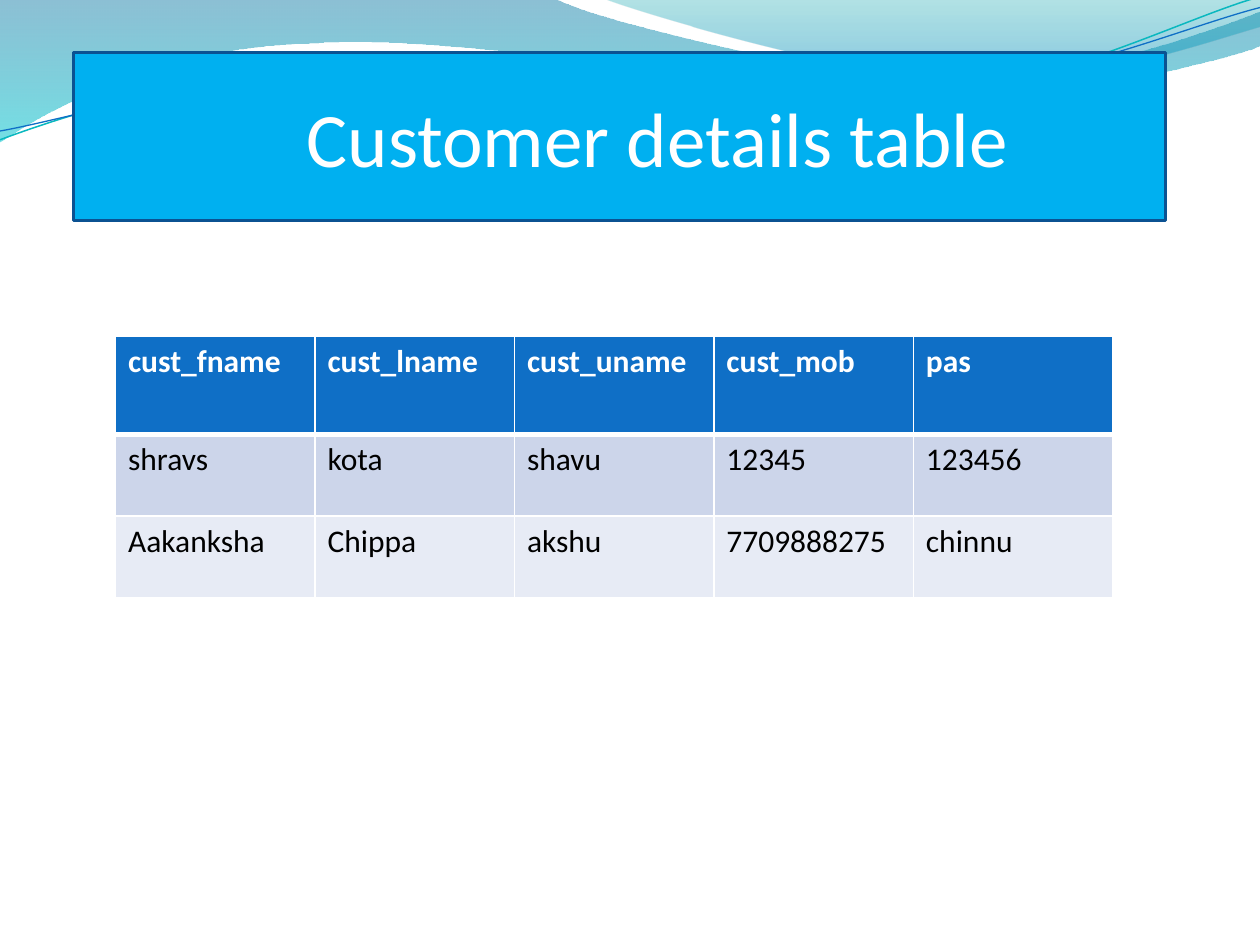
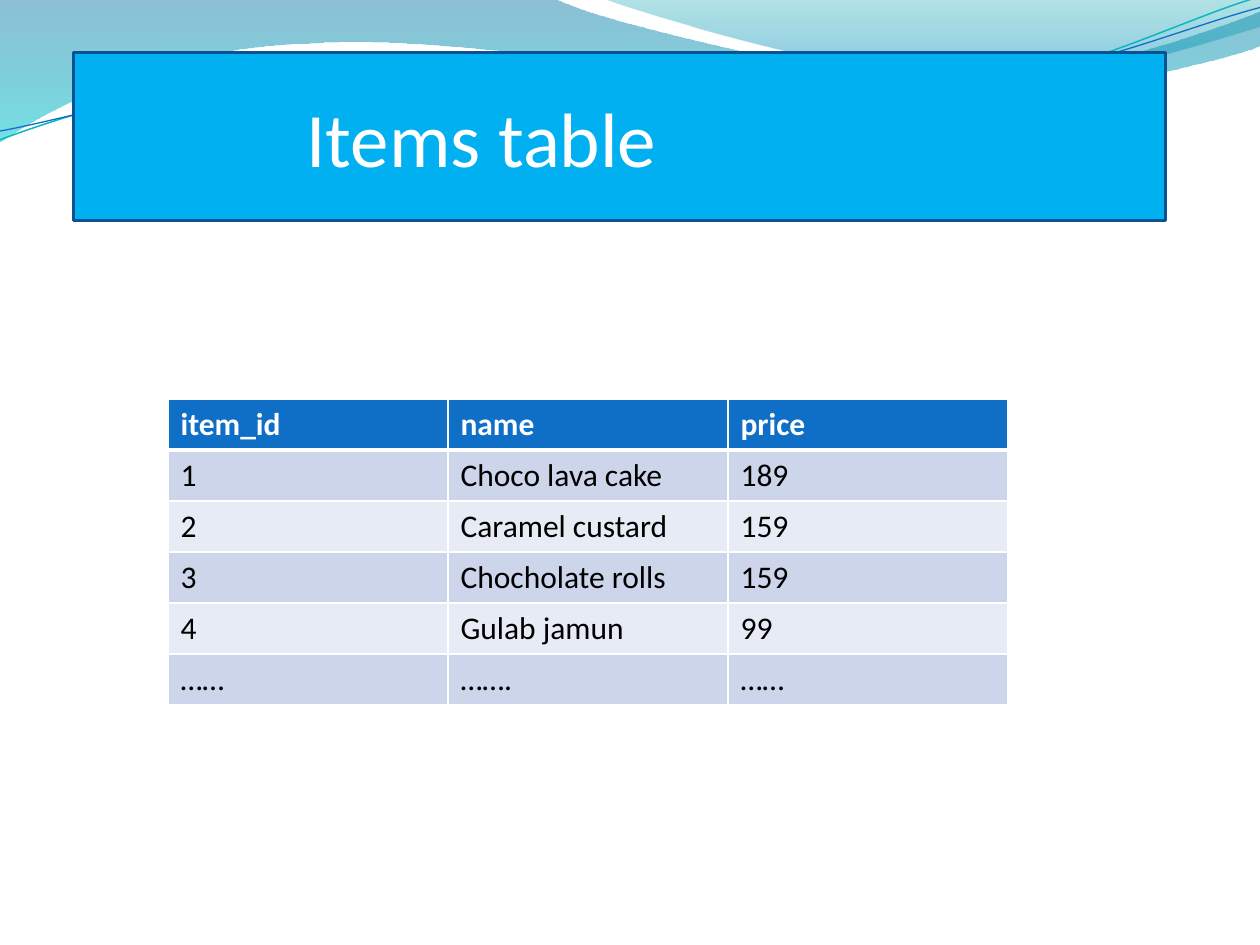
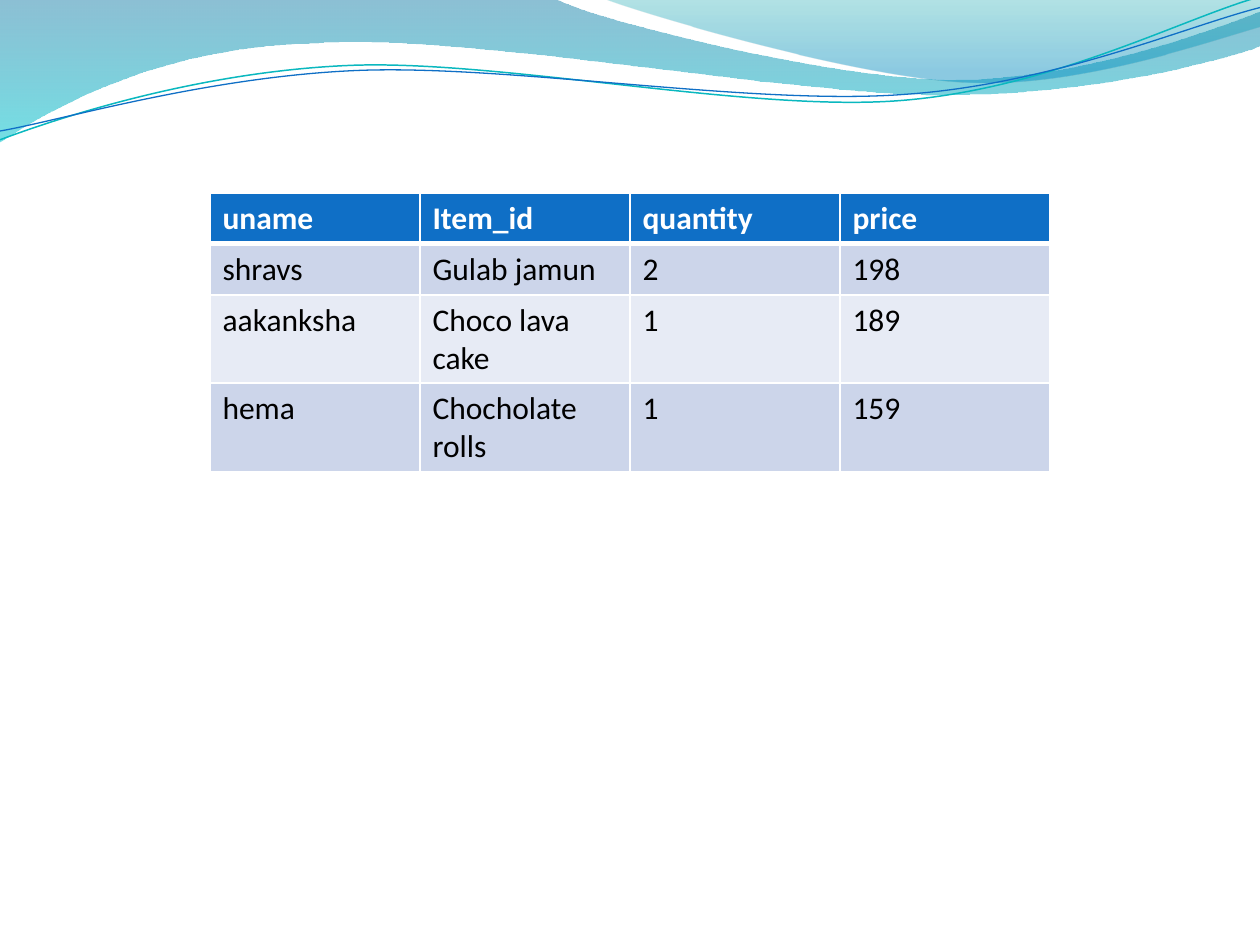
from dataclasses import dataclass

from lxml import etree
from pptx import Presentation
from pptx.dml.color import RGBColor
from pptx.enum import shapes, text
from pptx.oxml import ns
from pptx.util import Inches, Pt

# Content: title (or None), table position, width, row heights, rows
SLIDES = [
    dict(title="Customer details table", at=(11 / 12, 8 / 3), width=95 / 12,
         heights=[0.78, 0.65, 0.65],
         rows=[("cust_fname", "cust_lname", "cust_uname", "cust_mob", "pas"),
               ("shravs", "kota", "shavu", "12345", "123456"),
               ("Aakanksha", "Chippa", "akshu", "7709888275", "chinnu")]),
    dict(title="Items table", at=(4 / 3, 19 / 6), width=20 / 3,
         heights=[2.43 / 6] * 6,
         rows=[("item_id", "name", "price"),
               ("1", "Choco lava cake", "189"),
               ("2", "Caramel custard", "159"),
               ("3", "Chocholate rolls", "159"),
               ("4", "Gulab jamun", "99"),
               ("……", "…….", "……")]),
    dict(title=None, at=(5 / 3, 1.53), width=20 / 3,
         heights=[2.43 / 6] * 4,
         rows=[("uname", "Item_id", "quantity", "price"),
               ("shravs", "Gulab jamun", "2", "198"),
               ("aakanksha", "Choco lava cake", "1", "189"),
               ("hema", "Chocholate rolls", "1", "159")]),
]

# Wave outlines: a pair is a corner, six numbers are a Bezier curve
# Gradient stops: position, colour, opacity in percent
WAVES = [
    dict(outline=[(0, 0), (4.4, -0.01), (4.76, 0.17, 6.64, 0.63, 7.58, 0.63),
                  (8.53, 0.63, 9.58, 0.26, 10, 0.09), (10.01, 0.36),
                  (9.83, 0.44, 8.7, 0.76, 7.46, 0.75),
                  (6.22, 0.75, 3.82, 0.28, 2.57, 0.34),
                  (1.29, 0.36, 0.46, 0.83, -0.01, 1.13), (0, 0)],
         stops=[(0, "0074A1", 45), (1, "00C6CF", 55)]),
    dict(outline=[(4.79, -0.01), (5.09, 0.11, 6.82, 0.62, 7.69, 0.65),
                  (8.56, 0.69, 9.61, 0.32, 10, 0.21), (10, 0), (4.79, -0.01)],
         stops=[(0, "00A1A9", 30), (0.8, "008BBF", 45)]),
    dict(outline=[(0, 1.11), (0.48, 0.93, 1.58, 0.57, 2.77, 0.52),
                  (3.95, 0.47, 5.93, 0.89, 7.13, 0.8),
                  (8.33, 0.71, 9.38, 0.15, 9.98, -0.02)],
         line=("0AB8BF", 0.85)),
    dict(outline=[(0, 1.04), (0.47, 0.96, 1.64, 0.61, 2.83, 0.56),
                  (4.03, 0.51, 5.97, 0.84, 7.17, 0.75),
                  (8.36, 0.67, 9.41, 0.21, 10, 0.06)],
         line=("0F6FC6", 0.75)),
]


@dataclass(frozen=True)
class Theme:
    font: str = "Calibri"
    title_size: int = 44
    cell_size: int = 18
    white: str = "FFFFFF"
    black: str = "000000"
    band: str = "00B0F0"
    band_line: str = "0B5292"
    header: str = "0F6FC6"
    stripes: tuple = ("CCD5EA", "E7EBF5")


THEME = Theme()
HEADER_BORDERS = {"lnL": 1, "lnR": 1, "lnT": 1, "lnB": 3}
TITLE_ONLY, BLANK = 5, 6


def rgb(value):
    return RGBColor.from_string(value)


def box(*lengths):
    return [Inches(v) for v in lengths]


def style_text(p, size, color, bold=False):
    for r in p.runs:
        r.font.name, r.font.size, r.font.bold = THEME.font, Pt(size), bold
        r.font.color.rgb = rgb(color)


# Waves on the master
def build_wave(s, outline, closed):
    points = [tuple(box(*part[i:i + 2]))
              for part in outline for i in range(0, len(part), 2)]
    builder = s.shapes.build_freeform(*points[0])
    builder.add_line_segments(points[1:], close=closed)
    sp = builder.convert_to_shape()

    # Join the three lines through each curve's points into one curve
    lines = iter(list(sp.element.iter(ns.qn("a:lnTo"))))
    for part in outline[1:]:
        line = next(lines)
        if len(part) == 6:
            curve = etree.Element(ns.qn("a:cubicBezTo"))
            line.addprevious(curve)
            for step in (line, next(lines), next(lines)):
                curve.append(step[0])
                step.getparent().remove(step)
    return sp


def fill_gradient(sp, stops):
    sp.fill.gradient()
    sp.fill.gradient_angle = 270
    for stop, (position, color, _) in zip(sp.fill.gradient_stops, stops):
        stop.position, stop.color.rgb = position, rgb(color)
    for clr, (_, _, opacity) in zip(sp.element.iter(ns.qn("a:srgbClr")), stops):
        etree.SubElement(clr, ns.qn("a:alpha")).set("val", str(opacity * 1000))


def add_waves(prs, s):
    tree = prs.slide_master.shapes.element
    for i, wave in enumerate(WAVES):
        sp = build_wave(s, wave["outline"], closed="stops" in wave)
        sp.shadow.inherit = False
        if "stops" in wave:
            fill_gradient(sp, wave["stops"])
            sp.line.fill.background()
        else:
            color, width = wave["line"]
            sp.fill.background()
            sp.line.color.rgb, sp.line.width = rgb(color), Pt(width)
        # Move behind the master's placeholders, with an id free there
        sp.element.nvSpPr.cNvPr.set("id", str(101 + i))
        tree.insert(2 + i, sp.element)


# Title on its band
def add_title(s, title):
    band = s.shapes.add_shape(shapes.MSO_SHAPE.RECTANGLE,
                              *box(7 / 12, 5 / 12, 26 / 3, 4 / 3))
    band.shadow.inherit = False
    band.fill.solid()
    band.fill.fore_color.rgb = rgb(THEME.band)
    band.line.color.rgb, band.line.width = rgb(THEME.band_line), Pt(2)
    s.shapes.element.insert(2, band.element)

    sp = s.shapes.title
    sp.left, sp.top, sp.width, sp.height = box(7 / 3, 2 / 3, 6.75, 0.84)
    tf = sp.text_frame
    tf.text = title
    tf.auto_size = text.MSO_AUTO_SIZE.SHAPE_TO_FIT_TEXT
    tf.vertical_anchor = text.MSO_ANCHOR.TOP
    p = tf.paragraphs[0]
    p.alignment = text.PP_ALIGN.LEFT
    style_text(p, THEME.title_size, THEME.white)


# Striped table with a heavier rule under the header
def add_borders(cell):
    tc_pr = cell._tc.get_or_add_tcPr()
    for i, (side, width) in enumerate(HEADER_BORDERS.items()):
        ln = etree.Element(ns.qn(f"a:{side}"), w=str(Pt(width)))
        fill = etree.SubElement(ln, ns.qn("a:solidFill"))
        etree.SubElement(fill, ns.qn("a:srgbClr"), val=THEME.white)
        tc_pr.insert(i, ln)


def add_data_table(s, at, width, heights, rows):
    cols = len(rows[0])
    table = s.shapes.add_table(
        len(rows), cols, *box(*at, width, sum(heights))).table
    for column in table.columns:
        column.width = Inches(width / cols)
    for i, (row, height) in enumerate(zip(rows, heights)):
        table.rows[i].height = Inches(height)
        is_header = i == 0
        fill = THEME.header if is_header else THEME.stripes[(i - 1) % 2]
        color = THEME.white if is_header else THEME.black
        for j, value in enumerate(row):
            cell = table.cell(i, j)
            cell.text = value
            cell.fill.solid()
            cell.fill.fore_color.rgb = rgb(fill)
            style_text(cell.text_frame.paragraphs[0], THEME.cell_size, color,
                       bold=is_header)
            if is_header:
                add_borders(cell)


def main():
    prs = Presentation()
    prs.slide_width, prs.slide_height = box(10, 7.5)
    for i, content in enumerate(SLIDES):
        title = content["title"]
        s = prs.slides.add_slide(
            prs.slide_layouts[TITLE_ONLY if title else BLANK])
        if i == 0:
            add_waves(prs, s)
        if title:
            add_title(s, title)
        add_data_table(s, content["at"], content["width"],
                       content["heights"], content["rows"])
    prs.save("out.pptx")


if __name__ == "__main__":
    main()
